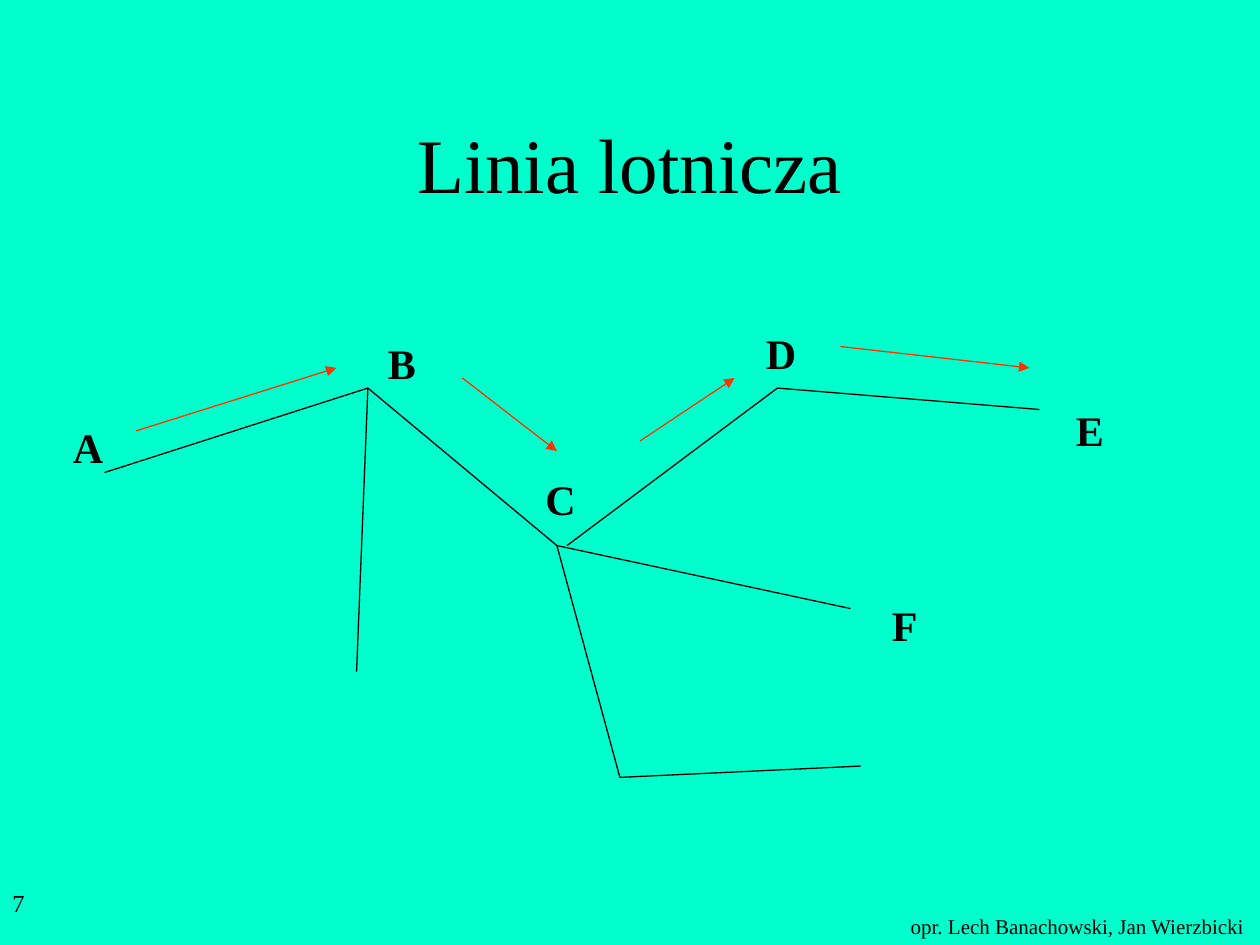
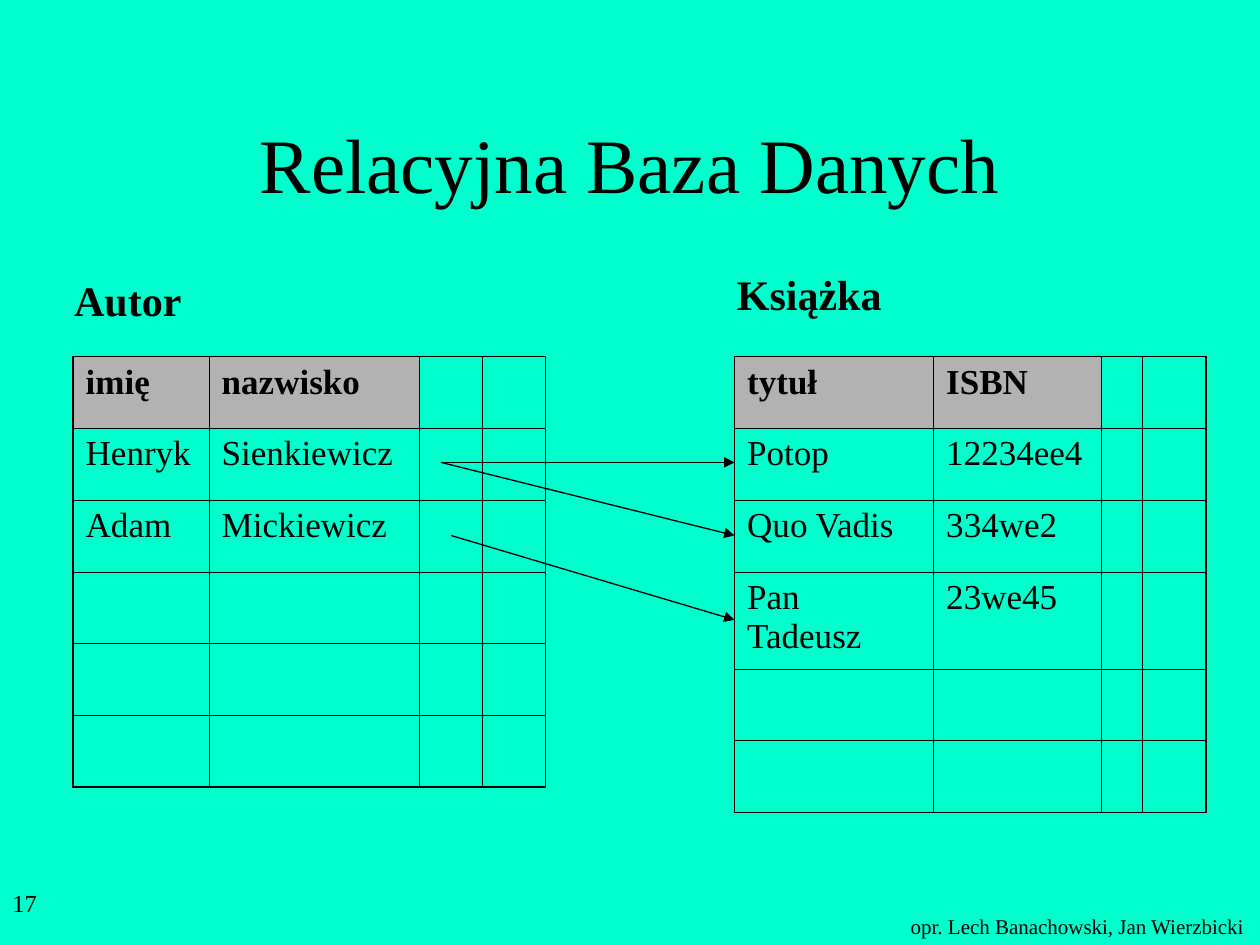
from lxml import etree
from pptx import Presentation
from pptx import util as u
from pptx.dml.color import RGBColor
from pptx.enum import shapes, text
from pptx.oxml.ns import qn

COLOURS = {"background": "00FFCC", "ink": "000000", "flight": "FF3300", "header": "B2B2B2"}
FONT = "Times New Roman"
THIN, THICK = 0.45, 1.08


def write(frame, words, size, bold=False):
    frame.text = words
    para = frame.paragraphs[0]
    for span in para.runs:
        span.font.name = FONT
        span.font.size = u.Pt(size)
        span.font.bold = bold
        span.font.color.rgb = RGBColor.from_string(COLOURS["ink"])
    return para


def draw_line(target, start, end, colour="ink", arrow=False):
    points = [u.Inches(value) for value in (*start, *end)]
    line = target.add_connector(shapes.MSO_CONNECTOR.STRAIGHT, *points)
    line.line.color.rgb = RGBColor.from_string(COLOURS[colour])
    line.line.width = u.Pt(0.75)
    if arrow:
        etree.SubElement(line.line._get_or_add_ln(), qn("a:tailEnd"), type="triangle")
    etree.SubElement(line._element.spPr, qn("a:effectLst"))


deck = Presentation()
deck.slide_width, deck.slide_height = u.Inches(10), u.Inches(7.5)
fill = deck.slide_master.background.fill
fill.solid()
fill.fore_color.rgb = RGBColor.from_string(COLOURS["background"])

layout = deck.slide_layouts.get_by_name("Title Only")
title_area = layout.placeholders[0]
title_area.left, title_area.top = u.Inches(0.75), u.Inches(0.67)
title_area.width, title_area.height = u.Inches(8.5), u.Inches(1.25)

# Each label: words, left, top, width, height, size, bold, wrap
airline_labels = [
    (name, left, top, 0.42, 0.5, 24, True, False)
    for name, left, top in [
        ("A", 0.48, 3.3), ("B", 2.98, 2.63), ("C", 4.23, 3.71),
        ("D", 5.98, 2.55), ("E", 8.44, 3.16), ("F", 6.98, 4.71),
    ]
]
table_labels = [
    ("Autor", 0.49, 2.13, 1.05, 0.5, 24, True, False),
    ("Książka", 5.75, 2.08, 1.35, 0.5, 24, True, False),
]
pages = []
for title, number, labels in [
    ("Linia lotnicza", "7", airline_labels),
    ("Relacyjna Baza Danych", "17", table_labels),
]:
    page = deck.slides.add_slide(layout)
    pages.append(page)
    para = write(page.shapes.title.text_frame, title, 44)
    para.alignment = text.PP_ALIGN.CENTER
    page.shapes.title.text_frame.vertical_anchor = text.MSO_ANCHOR.MIDDLE
    footer = ("opr. Lech Banachowski, Jan Wierzbicki", 7.13, 7.2, 2.86, 0.3, 12, False, False)
    page_number = (number, 0, 7, 2.08, 0.5, 14, False, True)
    for words, left, top, width, height, size, bold, wrap in [footer, *labels, page_number]:
        box = page.shapes.add_textbox(
            u.Inches(left), u.Inches(top), u.Inches(width), u.Inches(height))
        box.text_frame.word_wrap = wrap
        write(box.text_frame, words, size, bold)

airline, database = pages

# Airline network and the flights along it
a, b, c, d = (0.83, 3.75), (2.92, 3.08), (4.42, 4.33), (6.17, 3.08)
e, f, south = (8.25, 3.25), (6.75, 4.83), (4.92, 6.17)
for start, end in [
    (a, b), (b, c), ((4.5, 4.33), d), (d, e), (c, f),
    (c, south), (south, (6.83, 6.08)), (b, (2.83, 5.33)),
]:
    draw_line(airline.shapes, start, end)
for start, end in [
    ((1.08, 3.42), (2.67, 2.92)), ((3.67, 3), (4.42, 3.58)),
    ((5.08, 3.5), (5.83, 3)), ((6.67, 2.75), (8.17, 2.92)),
]:
    draw_line(airline.shapes, start, end, "flight", arrow=True)

# Database tables and the links between their rows
authors = [("imię", "nazwisko"), ("Henryk", "Sienkiewicz"), ("Adam", "Mickiewicz")]
books = [("tytuł", "ISBN"), ("Potop", "12234ee4"), ("Quo Vadis", "334we2"),
         ("Pan Tadeusz", "23we45")]
row_count, row_height = 6, 0.57
for records, left, widths in [
    (authors, 0.58, (1.08, 1.67, 0.5, 0.5)),
    (books, 5.83, (1.58, 1.33, 0.33, 0.5)),
]:
    frame = database.shapes.add_table(
        row_count, len(widths), u.Inches(left), u.Inches(2.83),
        u.Inches(sum(widths)), u.Inches(row_count * row_height))
    table = frame.table
    table.first_row = table.horz_banding = False
    for column, width in zip(table.columns, widths):
        column.width = u.Inches(width)
    for row_index, row in enumerate(table.rows):
        row.height = u.Inches(0.77 if records is books and row_index == 3 else row_height)
        for column_index, cell in enumerate(row.cells):
            outer_sides = {
                "a:lnL": column_index == 0,
                "a:lnR": column_index == len(widths) - 1,
                "a:lnT": row_index == 0,
                "a:lnB": row_index == row_count - 1,
            }
            properties = cell._tc.get_or_add_tcPr()
            for side, outer in outer_sides.items():
                border = etree.SubElement(
                    properties, qn(side), w=str(u.Pt(THICK if outer else THIN)))
                paint = etree.SubElement(border, qn("a:solidFill"))
                etree.SubElement(paint, qn("a:srgbClr"), val=COLOURS["ink"])
            cell.fill.background()
            if row_index < len(records) and column_index < 2:
                write(cell.text_frame, records[row_index][column_index], 20, row_index == 0)
                if row_index == 0:
                    cell.fill.solid()
                    cell.fill.fore_color.rgb = RGBColor.from_string(COLOURS["header"])

links = database.shapes.add_group_shape()
for start, end in [
    ((3.5, 3.67), (5.83, 3.67)), ((3.5, 3.67), (5.83, 4.25)), ((3.58, 4.25), (5.83, 4.92)),
]:
    draw_line(links.shapes, start, end, arrow=True)

deck.save("out.pptx")
